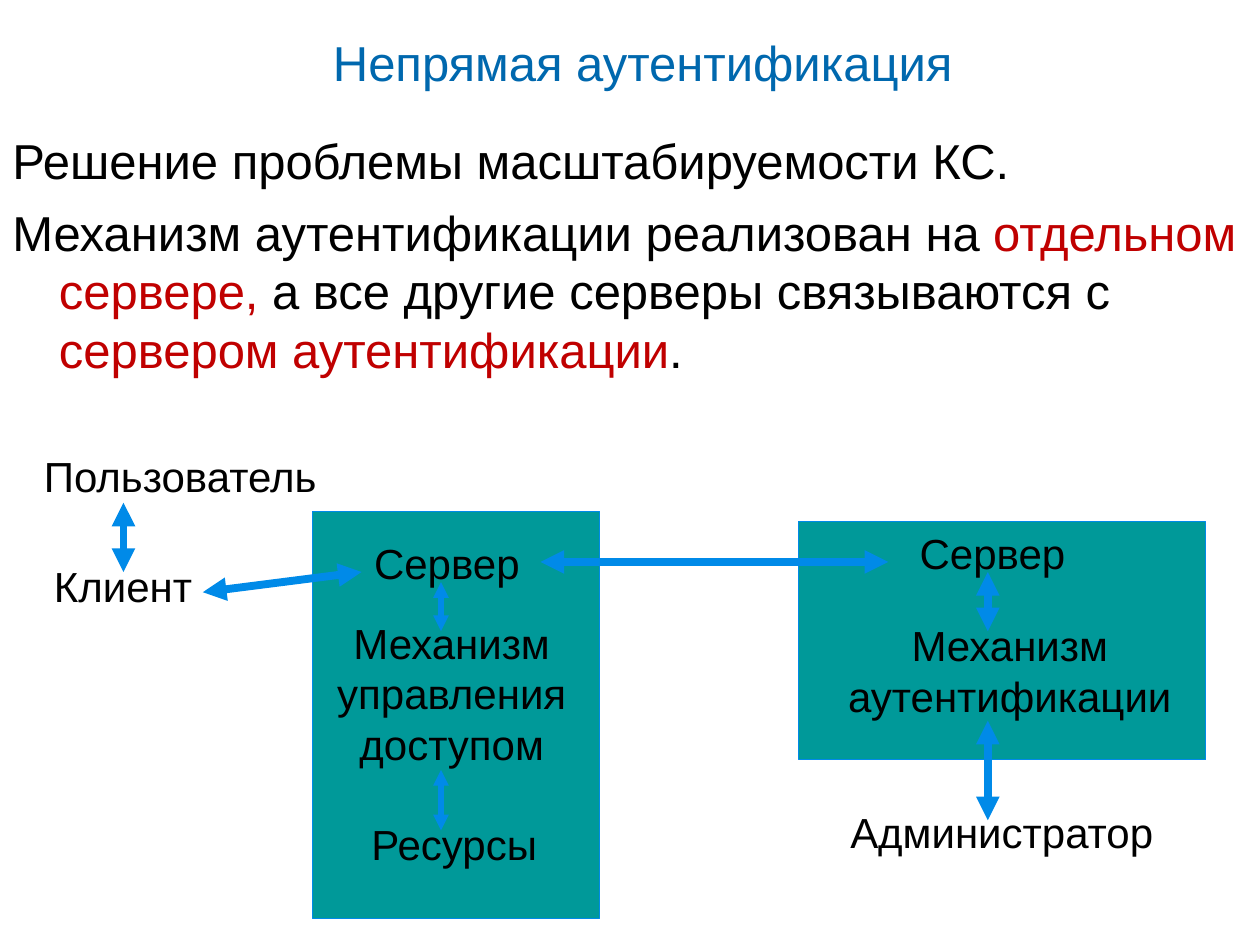
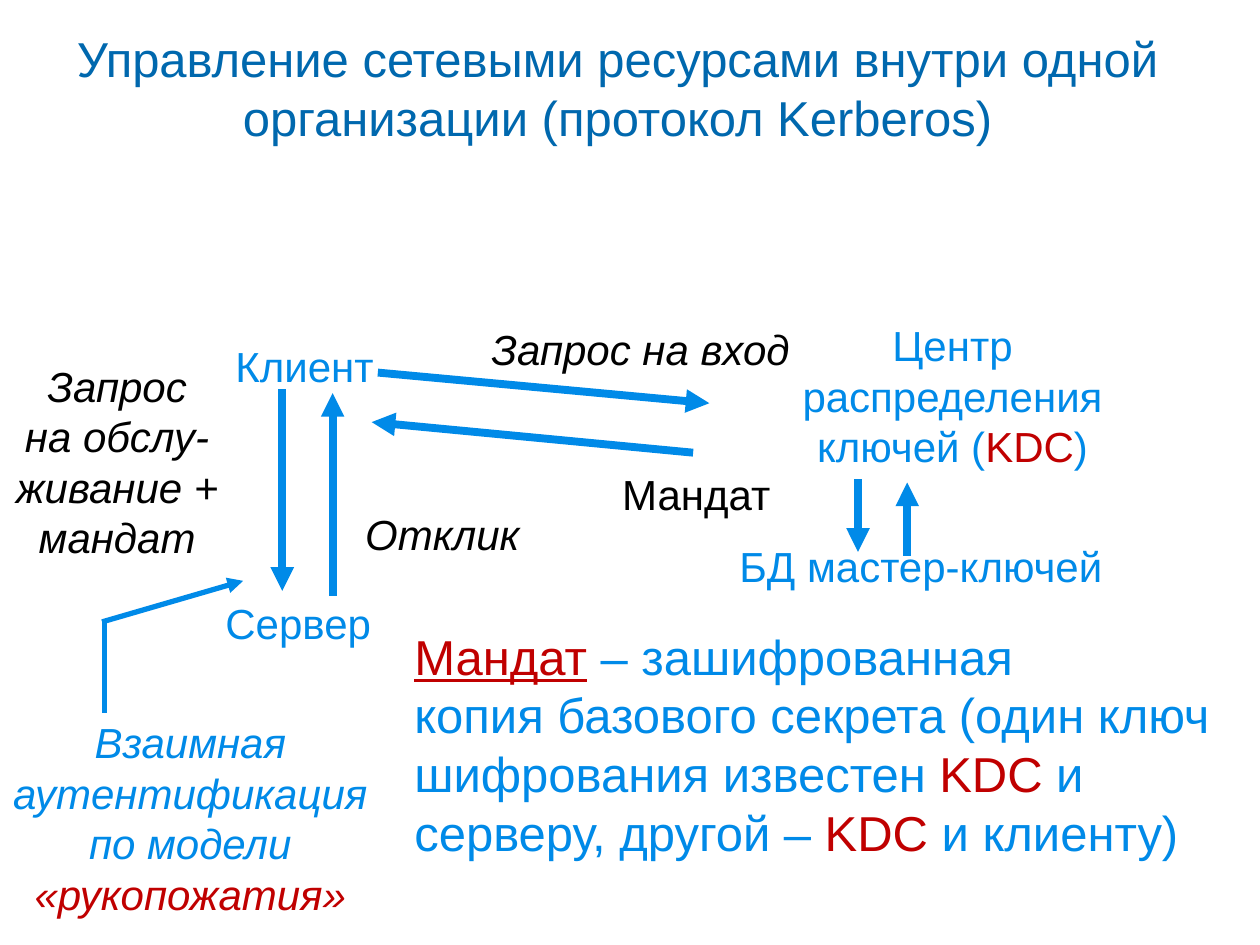
from dataclasses import dataclass
from typing import NamedTuple

from lxml import etree
from pptx import Presentation
from pptx.dml.color import RGBColor
from pptx.enum import shapes, text
from pptx.oxml import ns
from pptx.slide import Slide
from pptx.text.text import TextFrame
from pptx.util import Inches, Pt


@dataclass(frozen=True)
class Theme:
    font: str = "Arial"
    title: str = "0068AE"
    ink: str = "000000"
    blue: str = "008AE8"
    red: str = "C00000"
    panel: str = "009999"
    large: float = 28
    normal: float = 24
    outline: float = 0.75
    thin: float = 3
    thick: float = 4.5
    spacing: float = 1.0


THEME = Theme()
LEFT, CENTER = text.PP_ALIGN.LEFT, text.PP_ALIGN.CENTER


class Span(NamedTuple):
    """A piece of a paragraph; without a colour it takes that of its label."""
    words: str
    color: str | None = None
    underline: bool = False


@dataclass(frozen=True)
class Label:
    left: float
    top: float
    width: float
    height: float
    paragraphs: tuple[tuple[Span, ...], ...]
    color: str = THEME.ink
    size: float = THEME.normal
    italic: bool = False
    align: text.PP_ALIGN = LEFT
    wrap: bool = False
    margins: tuple[float, float] = (0.1, 0.05)
    hanging: float = 0
    space_before: float = 0


class Panel(NamedTuple):
    left: float
    top: float
    width: float
    height: float


class Arrow(NamedTuple):
    start: tuple[float, float]
    end: tuple[float, float]
    width: float = THEME.thick
    head: bool = False
    tail: bool = True


def plain(*lines: str) -> tuple[tuple[Span, ...], ...]:
    return tuple((Span(line),) for line in lines)


def red(words: str, underline: bool = False) -> Span:
    return Span(words, THEME.red, underline)


def fill_text(frame: TextFrame, paragraphs: tuple[tuple[Span, ...], ...], *,
              color: str, size: float, italic: bool = False,
              align: text.PP_ALIGN = LEFT, hanging: float = 0,
              space_before: float = 0) -> None:
    for index, spans in enumerate(paragraphs):
        paragraph = frame.add_paragraph() if index else frame.paragraphs[0]
        paragraph.alignment = align
        paragraph.line_spacing = THEME.spacing
        paragraph.space_before = Pt(space_before if index else 0)
        if hanging:
            properties = paragraph._p.get_or_add_pPr()
            properties.set("marL", str(Inches(hanging)))
            properties.set("indent", str(-Inches(hanging)))
        for span in spans:
            for line_index, line in enumerate(span.words.split("\n")):
                if line_index:
                    paragraph.add_line_break()
                if not line:
                    continue
                run = paragraph.add_run()
                run.text = line
                run.font.name = THEME.font
                run.font.size = Pt(size)
                run.font.italic = italic
                run.font.underline = span.underline
                run.font.color.rgb = RGBColor.from_string(span.color or color)
        paragraph.font.size = Pt(size)


def set_title(slide: Slide, words: str, left: float, width: float, height: float) -> None:
    title = slide.shapes.title
    title.left, title.top = Inches(left), Inches(0)
    title.width, title.height = Inches(width), Inches(height)
    title.text_frame.auto_size = text.MSO_AUTO_SIZE.NONE
    title.text_frame.vertical_anchor = text.MSO_ANCHOR.MIDDLE
    fill_text(title.text_frame, plain(words), color=THEME.title,
              size=THEME.large, align=CENTER)


def draw_panel(slide: Slide, panel: Panel) -> None:
    shape = slide.shapes.add_shape(shapes.MSO_SHAPE.RECTANGLE, *map(Inches, panel))
    shape.shadow.inherit = False
    shape.fill.solid()
    shape.fill.fore_color.rgb = RGBColor.from_string(THEME.panel)
    shape.line.color.rgb = RGBColor.from_string(THEME.blue)
    shape.line.width = Pt(THEME.outline)


def draw_label(slide: Slide, label: Label) -> None:
    box = slide.shapes.add_textbox(Inches(label.left), Inches(label.top),
                                   Inches(label.width), Inches(label.height))
    frame = box.text_frame
    frame.word_wrap = label.wrap
    frame.auto_size = text.MSO_AUTO_SIZE.NONE
    side, edge = map(Inches, label.margins)
    frame.margin_left = frame.margin_right = side
    frame.margin_top = frame.margin_bottom = edge
    fill_text(frame, label.paragraphs, color=label.color, size=label.size,
              italic=label.italic, align=label.align, hanging=label.hanging,
              space_before=label.space_before)


def draw_arrow(slide: Slide, arrow: Arrow) -> None:
    connector = slide.shapes.add_connector(
        shapes.MSO_CONNECTOR.STRAIGHT, *map(Inches, arrow.start + arrow.end))
    connector.line.color.rgb = RGBColor.from_string(THEME.blue)
    connector.line.width = Pt(arrow.width)
    line = connector.line._get_or_add_ln()
    line.set("cap", "sq")
    for tag, wanted in (("a:headEnd", arrow.head), ("a:tailEnd", arrow.tail)):
        if wanted:
            etree.SubElement(line, ns.qn(tag), type="triangle")
    etree.SubElement(connector._element.spPr, ns.qn("a:effectLst"))


def draw_diagram(slide: Slide, panels: list[Panel], labels: list[Label],
                 arrows: list[Arrow]) -> None:
    for panel in panels:
        draw_panel(slide, panel)
    for label in labels:
        draw_label(slide, label)
    for arrow in arrows:
        draw_arrow(slide, arrow)


def build_indirect_authentication(slide: Slide) -> None:
    set_title(slide, "Непрямая аутентификация", 0.2, 9.8, 0.99)
    explanation = (
        (Span("Решение проблемы масштабируемости КС."),),
        (Span("Механизм аутентификации реализован на "), red("отдельном сервере,"),
         Span(" а все другие серверы связываются с "),
         red("сервером аутентификации"), Span(".")),
    )
    labels = [
        Label(0, 0.99, 10, 2.44, explanation, size=THEME.large, wrap=True,
              hanging=0.37, space_before=7),
        Label(0.25, 3.53, 2.4, 0.5, plain("Пользователь"), wrap=True),
        Label(0.33, 4.4, 1.4, 0.5, plain("Клиент"), wrap=True),
        Label(2.87, 4.22, 1.45, 0.5, plain("Сервер"), wrap=True),
        Label(2.48, 4.85, 2.21, 1.3, plain("Механизм", "управления", "доступом"),
              align=CENTER, wrap=True),
        Label(2.85, 6.45, 1.6, 0.5, plain("Ресурсы"), wrap=True),
        Label(7.2, 4.14, 1.45, 0.5, plain("Сервер"), wrap=True),
        Label(6.63, 4.87, 2.77, 0.9, plain("Механизм", "аутентификации"), align=CENTER),
        Label(6.65, 6.35, 2.7, 0.5, plain("Администратор"), wrap=True),
    ]
    links = [
        ((3.5, 4.62), (3.5, 5.01), THEME.thin),
        ((3.5, 6.11), (3.5, 6.59), THEME.thin),
        ((0.98, 3.99), (0.98, 4.54), THEME.thick),
        ((1.61, 4.7), (2.87, 4.54), THEME.thick),
        ((4.29, 4.46), (7.05, 4.46), THEME.thick),
        ((7.84, 4.54), (7.84, 5.01), THEME.thick),
        ((7.84, 5.72), (7.84, 6.51), THEME.thick),
    ]
    draw_diagram(slide, [Panel(2.48, 4.06, 2.28, 3.23), Panel(6.34, 4.14, 3.23, 1.89)],
                 labels, [Arrow(*link, head=True) for link in links])


def build_kerberos(slide: Slide) -> None:
    set_title(slide, "Управление сетевыми ресурсами внутри одной организации "
                     "(протокол Kerberos)", 0, 9.8, 1.39)
    handshake = ((Span("Взаимная\nаутентификация\nпо модели\n"), red("«рукопожатия»")),)
    key_center = ((Span("Центр\nраспределения\nключей ("), red("KDC"), Span(")")),)
    ticket = ((red("Мандат", underline=True),
               Span(" – зашифрованная\nкопия базового секрета "
                    "(один ключ шифрования известен "),
               red("KDC"), Span(" и серверу, другой – "),
               red("KDC"), Span(" и клиенту)")),)
    labels = [
        Label(1.77, 2.65, 1.4, 0.5, plain("Клиент"), THEME.blue, wrap=True),
        Label(1.69, 4.69, 1.45, 0.5, plain("Сервер"), THEME.blue, wrap=True),
        Label(0, 2.81, 1.86, 1.7, plain("Запрос\nна обслу-\nживание +\nмандат"),
              italic=True, align=CENTER, wrap=True),
        Label(2.8, 3.99, 1.55, 0.5, plain("Отклик"), italic=True, wrap=True),
        Label(0, 5.64, 3.02, 1.7, handshake, THEME.blue, italic=True, align=CENTER),
        Label(6.26, 2.49, 2.6, 1.3, key_center, THEME.blue, align=CENTER),
        Label(3.9, 2.57, 2.44, 0.4, plain("Запрос на вход"), italic=True,
              wrap=True, margins=(0, 0)),
        Label(4.84, 3.67, 1.5, 0.5, plain("Мандат"), wrap=True),
        Label(5.77, 4.24, 3.2, 0.5, plain("БД мастер-ключей"), THEME.blue, wrap=True),
        Label(3.19, 4.92, 6.81, 1.97, ticket, THEME.blue, THEME.large, wrap=True),
    ]
    arrows = [
        Arrow((2.24, 3.12), (2.24, 4.69)),
        Arrow((2.64, 4.7), (2.64, 3.12)),
        Arrow((0.83, 5.64), (0.83, 4.93), THEME.thin, tail=False),
        Arrow((0.83, 4.93), (1.93, 4.61), THEME.thin),
        Arrow((3.03, 2.96), (5.63, 3.2)),
        Arrow((5.47, 3.59), (2.95, 3.35)),
        Arrow((6.81, 3.83), (6.81, 4.38)),
        Arrow((7.2, 4.38), (7.2, 3.83)),
    ]
    draw_diagram(slide, [], labels, arrows)


def main() -> None:
    presentation = Presentation()
    presentation.slide_width, presentation.slide_height = Inches(10), Inches(7.5)
    title_only = presentation.slide_layouts.get_by_name("Title Only")
    for build in (build_indirect_authentication, build_kerberos):
        build(presentation.slides.add_slide(title_only))
    presentation.save("out.pptx")


if __name__ == "__main__":
    main()
